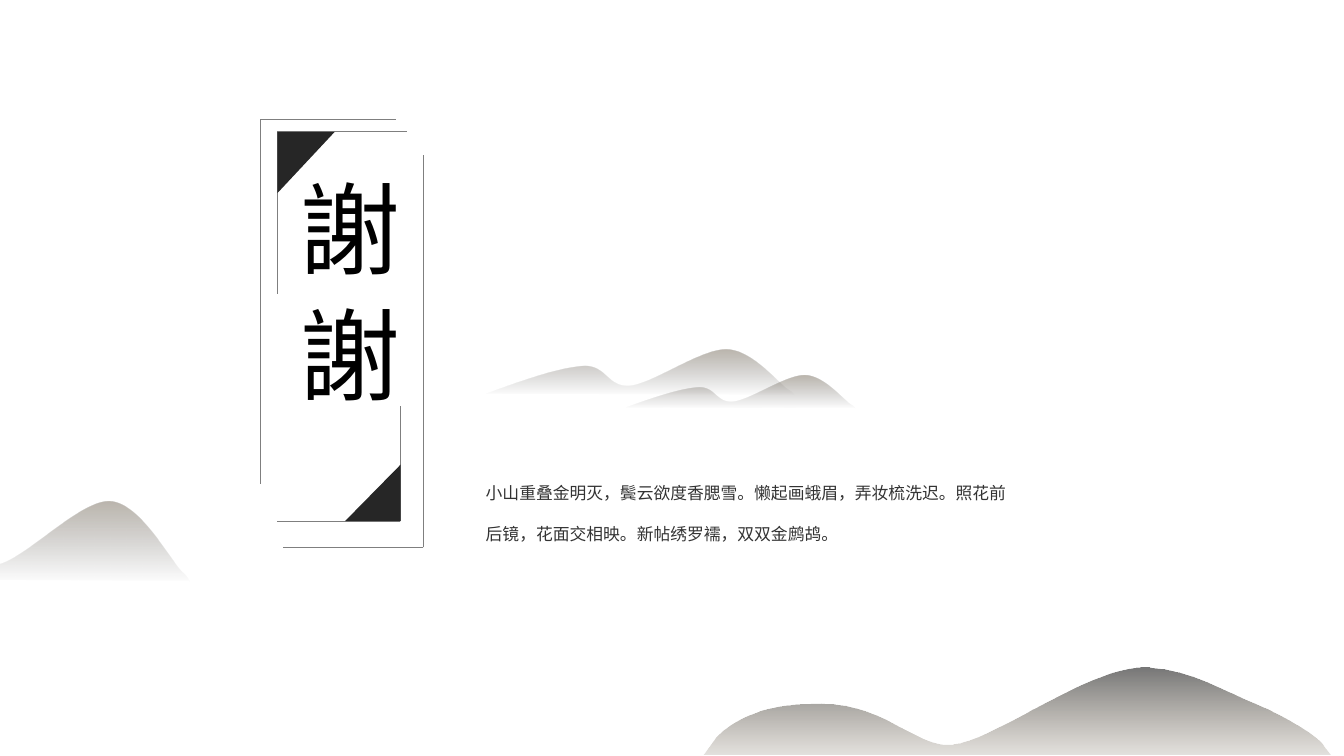
from lxml.etree import SubElement
from pptx import Presentation
from pptx.dml.color import RGBColor
from pptx.enum.shapes import MSO_CONNECTOR as Connector, MSO_SHAPE as Preset
from pptx.enum.text import MSO_AUTO_SIZE as AutoSize, PP_ALIGN as Align
from pptx.oxml.ns import qn
from pptx.util import Inches, Pt

WIDTH, HEIGHT = Inches(13.333), Inches(7.5)
BLACK = RGBColor(0x00, 0x00, 0x00)
INK = RGBColor(0x26, 0x26, 0x26)
TEXT_GREY = RGBColor(0x33, 0x33, 0x33)
FRAME_GREY = RGBColor(0x7F, 0x7F, 0x7F)
STONE = RGBColor(0x54, 0x54, 0x54)
EARTH = RGBColor(0x77, 0x6C, 0x5B)
TITLE_FONT, BODY_FONT = "Noto Sans CJK JP", "Arial"

# Outlines in percent of a hill's box: one point is a line, three are a curve.
TWIN_PEAKS = [
    [(77.8, 0)],
    [(86.1, 1), (93.9, 66), (97.8, 84)],
    [(98.9, 88), (99.4, 91), (99.7, 94)],
    [(100, 95)], [(100, 100)], [(99.7, 95)], [(0, 93)],
    [(11.9, 65), (23.8, 38), (31.6, 35)],
    [(39.3, 32), (39.3, 80), (46.8, 76)],
    [(54.6, 70), (69.3, 0), (77.8, 0)],
]
FOREGROUND = [
    [(71.1, 0)],
    [(77.7, 2.3), (83.4, 28.7), (87.9, 41.4)],
    [(93.1, 56.3), (98.4, 80.5), (99, 90.8)],
    [(100, 100)], [(0, 100)], [(2.1, 79.3)],
    [(4.8, 59.8), (9.2, 41.4), (18.8, 41.4)],
    [(30.2, 42.5), (34.4, 98.9), (41, 86.2)],
    [(47.7, 73.6), (60.3, 9.2), (68.2, 1.1)],
    [(69.1, 0), (70.1, 0), (71.1, 0)],
]
# Gradient stops: position, colour, opacity in percent.
MIST = [(0, EARTH, 50), (0.97, STONE, 0)]
DUSK = [(0, STONE, 80), (1, EARTH, 20)]


def across(percent):
    """Turn a percentage of the slide's width into a length."""
    return round(WIDTH * percent / 100)


def down(percent):
    """Turn a percentage of the slide's height into a length."""
    return round(HEIGHT * percent / 100)


def place(left, top, width, height):
    """Turn a box in percent into lengths."""
    return across(left), down(top), across(width), down(height)


def bend(shape, outline):
    """Join the straight segments of each three-point part into one curve."""
    segments = iter(shape._element.spPr.findall(".//" + qn("a:lnTo")))
    for part in outline[1:]:
        group = [next(segments) for _ in part]
        if len(group) == 3:
            curve = SubElement(group[0].getparent(), qn("a:cubicBezTo"))
            group[0].addprevious(curve)
            for segment in group:
                curve.append(segment[0])
                segment.getparent().remove(segment)


def add_hill(page, box, outline, stops):
    """Draw a hill that fades from top to bottom."""
    left, top, width, height = place(*box)
    points = [(left + width * x / 100, top + height * y / 100)
              for part in outline for x, y in part]
    builder = page.shapes.build_freeform(*points[0])
    builder.add_line_segments(points[1:], close=True)
    hill = builder.convert_to_shape()
    bend(hill, outline)
    hill.shadow.inherit = False
    hill.line.fill.background()
    hill.fill.gradient()
    hill.fill.gradient_angle = 270
    for stop, (position, colour, _) in zip(hill.fill.gradient_stops, stops):
        stop.position = position
        stop.color.rgb = colour
    colours = hill._element.spPr.findall(".//" + qn("a:srgbClr"))
    for colour, (_, _, opacity) in zip(colours, stops):
        SubElement(colour, qn("a:alpha")).set("val", str(opacity * 1000))


def add_corner(page, x, y, end_x, end_y):
    """Draw the two thin lines that meet at a frame corner."""
    for to_x, to_y in ((end_x, y), (x, end_y)):
        line = page.shapes.add_connector(
            Connector.STRAIGHT, across(x), down(y), across(to_x), down(to_y))
        line.line.color.rgb = FRAME_GREY
        line.line.width = Pt(0.5)
        SubElement(line._element.spPr, qn("a:effectLst"))


def add_wedge(page, box, rotation):
    """Fill a frame corner with a dark right-angled triangle."""
    wedge = page.shapes.add_shape(Preset.ISOSCELES_TRIANGLE, *place(*box))
    wedge.adjustments[0] = 1
    wedge.rotation = rotation
    wedge.shadow.inherit = False
    wedge.fill.solid()
    wedge.fill.fore_color.rgb = INK
    wedge.line.fill.background()


def add_text(page, box, text, font, size, colour):
    """Add a wrapping text box and return its frame."""
    frame = page.shapes.add_textbox(*place(*box)).text_frame
    frame.word_wrap = True
    frame.auto_size = AutoSize.SHAPE_TO_FIT_TEXT
    para = frame.paragraphs[0]
    para.text = text
    para.font.name = font
    para.font.size = Pt(size)
    para.font.color.rgb = colour
    return frame


def add_title(page):
    """Add the vertical title."""
    frame = add_text(page, (20.03, 22.4, 10.58, 41.87), "謝 謝", TITLE_FONT, 72, BLACK)
    frame._txBody.bodyPr.set("vert", "eaVert")
    para = frame.paragraphs[0]
    para.alignment = Align.CENTER
    for span in para.runs:
        span.font.name = TITLE_FONT
        SubElement(span.font._element, qn("a:ea")).set("typeface", TITLE_FONT)


def add_poem(page):
    """Add the poem with double line spacing."""
    poem = ("小山重叠金明灭，鬓云欲度香腮雪。懒起画蛾眉，弄妆梳洗迟。"
            "照花前后镜，花面交相映。新帖绣罗襦，双双金鹧鸪。")
    frame = add_text(page, (35.4, 60.57, 41.1, 16.8), poem, BODY_FONT, 12, TEXT_GREY)
    frame.paragraphs[0].line_spacing = 2.0


def main():
    """Build the closing slide."""
    deck = Presentation()
    deck.slide_width, deck.slide_height = WIDTH, HEIGHT
    page = deck.slides.add_slide(deck.slide_layouts[6])

    add_hill(page, (-12.98, 66.4, 27.08, 10.93), TWIN_PEAKS, MIST)
    for corner in ((19.35, 15.83, 29.43, 64), (29.78, 68.93, 20.63, 53.73),
                   (31.5, 72.4, 21.03, 20.53), (20.63, 17.43, 30.26, 38.95)):
        add_corner(page, *corner)
    add_wedge(page, (25.67, 61.47, 4.13, 7.47), 0)
    add_wedge(page, (20.63, 17.43, 4.28, 8.13), 180)
    add_title(page)
    add_poem(page)
    add_hill(page, (36.15, 46.3, 22.95, 6.13), TWIN_PEAKS, MIST)
    add_hill(page, (46.58, 49.63, 17.1, 4.53), TWIN_PEAKS, MIST)
    add_hill(page, (52.35, 88.27, 46.65, 11.6), FOREGROUND, DUSK)

    deck.save("out.pptx")


main()
